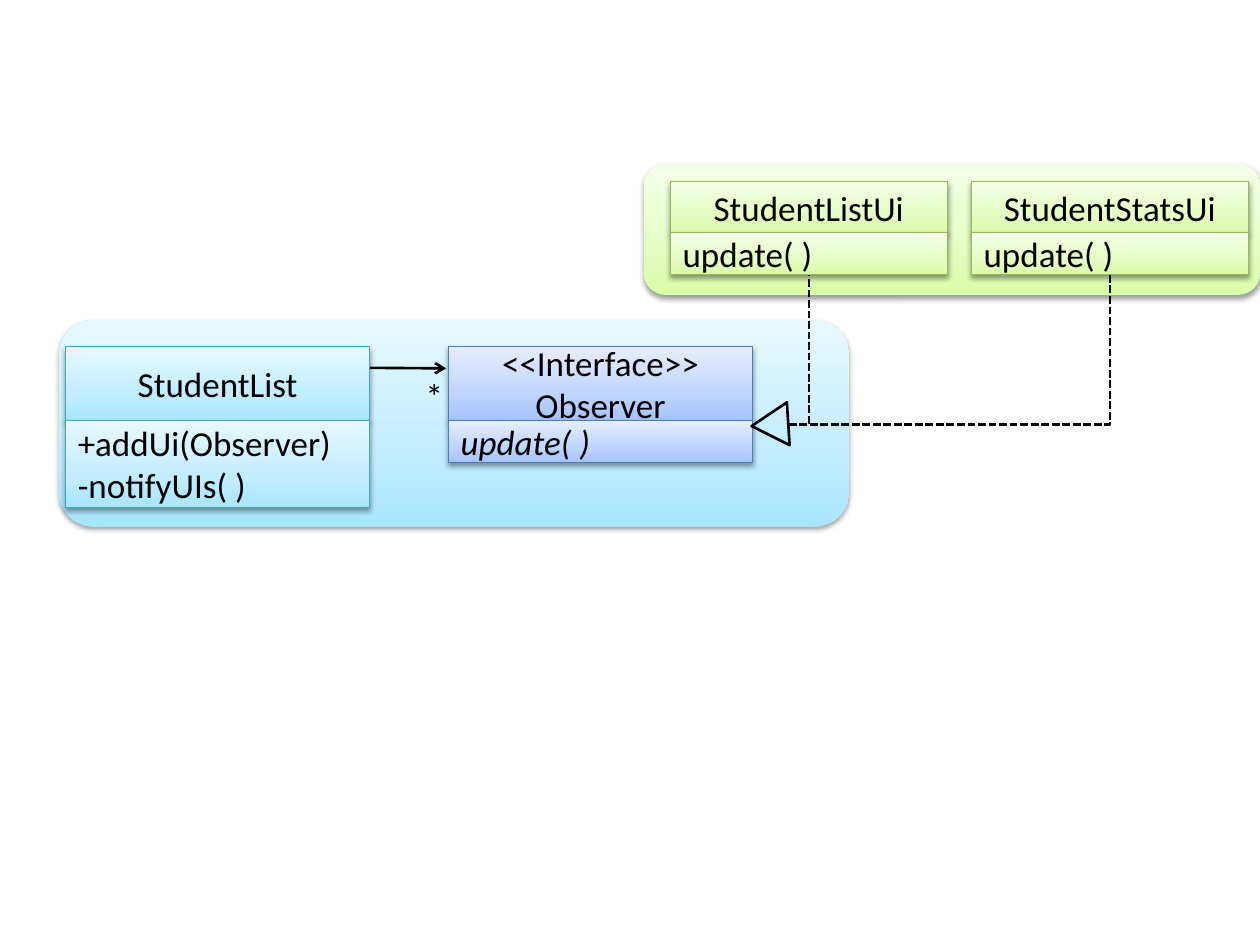
from copy import deepcopy
from lxml import etree
from pptx import Presentation
from pptx.dml.color import RGBColor
from pptx.enum.dml import MSO_LINE
from pptx.enum.shapes import MSO_CONNECTOR, MSO_SHAPE
from pptx.enum.text import MSO_ANCHOR, PP_ALIGN
from pptx.oxml.ns import qn
from pptx.util import Pt

RECT = MSO_SHAPE.RECTANGLE
ROUND = MSO_SHAPE.ROUNDED_RECTANGLE
TRI = MSO_SHAPE.ISOSCELES_TRIANGLE
LINE = MSO_CONNECTOR.STRAIGHT
ELBOW = MSO_CONNECTOR.ELBOW
DASH = MSO_LINE.SQUARE_DOT
MIDDLE = MSO_ANCHOR.MIDDLE
LEFT = PP_ALIGN.LEFT
CENTER = PP_ALIGN.CENTER

COLORS = {
    "ink": "000000",
    "aqua": ("A7E6FF", "C1EDFF", "E7F8FF"),
    "aqua line": "46AAC5",
    "lime": ("DAFDA7", "E4FCC2", "F5FFE7"),
    "lime line": "98B955",
    "blue": ("A4C4FF", "BFD4FF", "E6EEFF"),
    "blue line": "4B7EBC",
}
STOPS = (0, 0.35, 1)


def rgb(name):
    return RGBColor.from_string(COLORS[name])


def shade(shape, hue):
    fill = shape.fill
    fill.gradient()
    fill.gradient_angle = 90
    stops = shape._element.spPr.find(".//" + qn("a:gsLst"))
    stops.insert(1, deepcopy(stops[0]))
    for stop, place, color in zip(fill.gradient_stops, STOPS, COLORS[hue]):
        stop.position = place
        stop.color.rgb = RGBColor.from_string(color)


def cast(shape):
    shape.shadow.inherit = False
    group = shape._element.spPr.find(qn("a:effectLst"))
    drop = etree.SubElement(group, qn("a:outerShdw"), blurRad=str(Pt(3.1)),
                            dist=str(Pt(1.6)), dir="5400000", rotWithShape="0")
    color = etree.SubElement(drop, qn("a:srgbClr"), val=COLORS["ink"])
    etree.SubElement(color, qn("a:alpha"), val="38000")


def add_box(slide, kind, hue, x, y, w, h):
    box = slide.shapes.add_shape(kind, Pt(x), Pt(y), Pt(w), Pt(h))
    shade(box, hue)
    cast(box)
    box.line.fill.background()
    return box


def write(frame, lines, align, slant=None):
    frame.word_wrap = True
    for i, line in enumerate(lines):
        para = frame.paragraphs[0] if i == 0 else frame.add_paragraph()
        para.alignment = align
        run = para.add_run()
        run.text = line
        font = run.font
        font.name = "Calibri"
        font.size = Pt(20)
        font.italic = slant
        font.color.rgb = rgb("ink")


def add_class(slide, hue, x, y, w, head, body, title, calls, slant=None):
    parts = ((y, head, title, CENTER, None),
             (y + head, body, calls, LEFT, slant))
    for top, high, lines, align, style in parts:
        box = add_box(slide, RECT, hue, x, top, w, high)
        box.line.color.rgb = rgb(hue + " line")
        box.line.width = Pt(0.75)
        box.text_frame.vertical_anchor = MIDDLE
        write(box.text_frame, lines, align, style)


def add_link(slide, kind, x1, y1, x2, y2):
    link = slide.shapes.add_connector(kind, Pt(x1), Pt(y1), Pt(x2), Pt(y2))
    link.line.color.rgb = rgb("ink")
    link.line.width = Pt(1.5)
    etree.SubElement(link._element.spPr, qn("a:effectLst"))
    return link


def add_arrow(slide, x1, y1, x2, y2):
    link = add_link(slide, LINE, x1, y1, x2, y2)
    etree.SubElement(link.line._get_or_add_ln(), qn("a:tailEnd"), type="arrow")


def add_bend(slide, x1, y1, x2, y2):
    link = add_link(slide, ELBOW, x1, y1, x2, y2)
    link.line.dash_style = DASH
    geom = link._element.spPr.find(qn("a:prstGeom"))
    geom.set("prst", "bentConnector2")


def add_tip(slide, x, y, w, h, turn):
    tip = slide.shapes.add_shape(TRI, Pt(x), Pt(y), Pt(w), Pt(h))
    tip.rotation = turn
    tip.fill.background()
    tip.line.color.rgb = rgb("ink")
    tip.line.width = Pt(1.5)
    tip.shadow.inherit = False


def add_label(slide, text, x, y, w, h):
    box = slide.shapes.add_textbox(Pt(x), Pt(y), Pt(w), Pt(h))
    write(box.text_frame, [text], CENTER)


def main():
    deck = Presentation()
    deck.slide_width, deck.slide_height = Pt(720), Pt(540)
    slide = deck.slides.add_slide(deck.slide_layouts[6])

    add_box(slide, ROUND, "aqua", 33.8, 183, 451.5, 118)
    add_box(slide, ROUND, "lime", 368, 93.6, 352, 75)

    add_class(slide, "blue", 256.2, 198, 174, 42.2, 24,
              ["<<Interface>>", "Observer"], ["update( )"], True)
    add_class(slide, "aqua", 37.4, 198, 174, 42.2, 49.8,
              ["StudentList"], ["+addUi(Observer)", "-notifyUIs( )"])
    add_arrow(slide, 211.5, 210.2, 255, 210.5)
    add_label(slide, "*", 232.2, 210.2, 32, 32)

    add_tip(slide, 427.7, 232.3, 24.5, 21, 266.3)
    for x, title in ((383, "StudentListUi"), (555, "StudentStatsUi")):
        add_class(slide, "lime", x, 103.7, 158.4, 29.3, 24,
                  [title], ["update( )"])
        add_bend(slide, 450.7, 242.6, x + 79.2, 157)

    deck.save("out.pptx")


if __name__ == "__main__":
    main()
